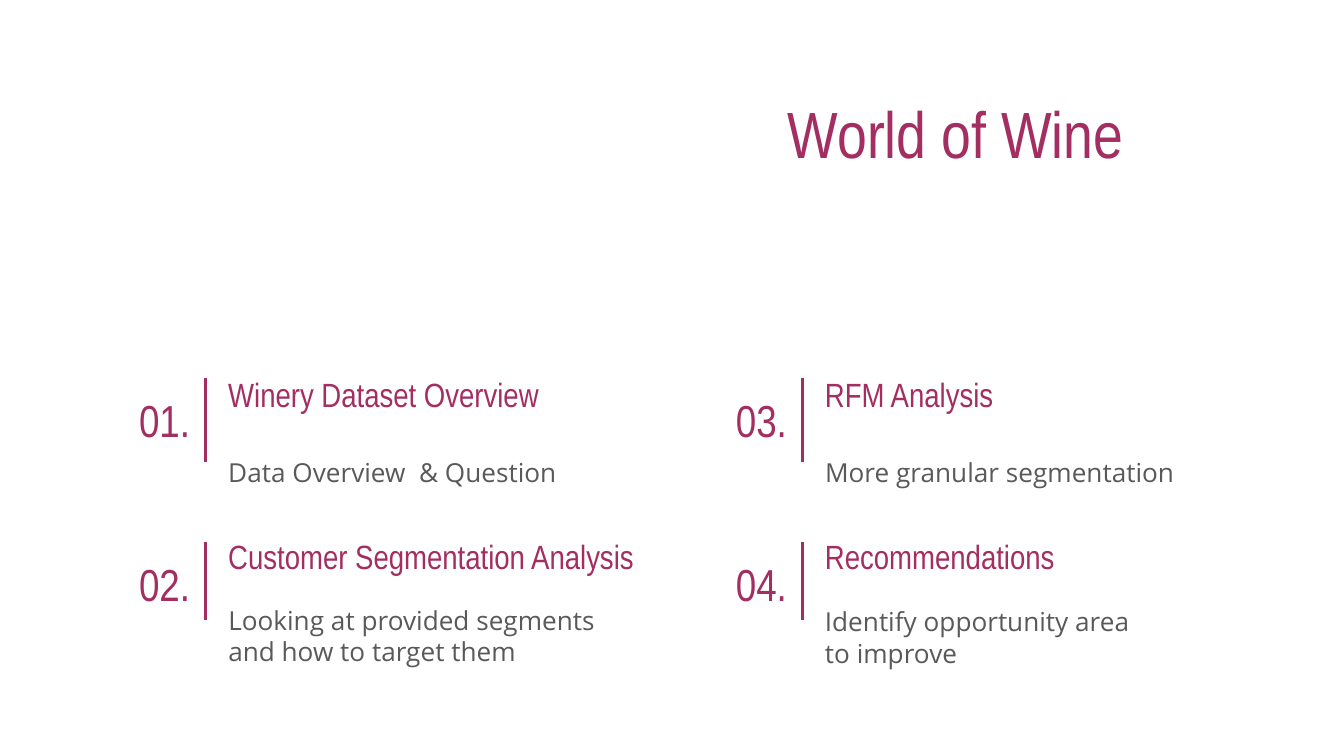
from lxml.etree import SubElement
from pptx import Presentation
from pptx.dml.color import RGBColor
from pptx.enum.shapes import MSO_CONNECTOR as Connector
from pptx.enum.text import MSO_ANCHOR as Anchor, PP_ALIGN as Align
from pptx.oxml.ns import qn
from pptx.util import Inches, Pt

TITLE = "World of Wine"
# number, heading, description, description width, description drop
SECTIONS = [
    ("01.", "Winery Dataset Overview", "Data Overview  & Question", 2.7, 0.54),
    ("02.", "Customer Segmentation Analysis",
     "Looking at provided segments and how to target them", 3.18, 0.55),
    ("03.", "RFM Analysis", "More granular segmentation", 2.91, 0.54),
    ("04.", "Recommendations", "Identify opportunity area to improve", 2.7, 0.56),
]

WINE, GREY = RGBColor.from_string("A32E61"), RGBColor.from_string("595959")
THEME = {
    "title": {"name": "Arial Narrow", "size": Pt(35), "color": WINE},
    "number": {"name": "Arial Narrow", "size": Pt(24), "color": WINE},
    "heading": {"name": "Arial Narrow", "size": Pt(18), "color": WINE},
    "description": {"name": "Open Sans", "size": Pt(14), "color": GREY},
    "rule": {"color": WINE, "width": Pt(1.5)},
}

SLIDE_WIDTH = 10
SLIDE_HEIGHT = SLIDE_WIDTH * 9 / 16
ROWS = 2
COLUMN_LEFT, COLUMN_STEP = 0.86, 4.44
HEADING_TOPS = (2.68, 3.89)
NUMBER_TOPS = (2.81, 4.03)
RULE_HEIGHTS = (0.63, 0.58)
RULE_OFFSET, TEXT_OFFSET = 0.67, 0.74


def add_text(slide, role, text, left, top, width, height,
             align=Align.LEFT, anchor=Anchor.TOP):
    shape = slide.shapes.add_textbox(*map(Inches, (left, top, width, height)))
    frame = shape.text_frame
    frame_format = {"word_wrap": True, "vertical_anchor": anchor}
    for side in ("left", "top", "right", "bottom"):
        frame_format[f"margin_{side}"] = Inches(0.1)
    for name, value in frame_format.items():
        setattr(frame, name, value)
    paragraph = frame.paragraphs[0]
    paragraph.text = text
    paragraph.alignment = align
    font = paragraph.runs[0].font
    for name, value in THEME[role].items():
        if name == "color":
            font.color.rgb = value
        else:
            setattr(font, name, value)


def add_rule(slide, left, top, height):
    rule = slide.shapes.add_connector(
        Connector.STRAIGHT, *map(Inches, (left, top, left, top + height)))
    rule.line.color.rgb = THEME["rule"]["color"]
    rule.line.width = THEME["rule"]["width"]
    SubElement(rule._element.spPr, qn("a:effectLst"))


def add_section(slide, index, number, heading, description, width, drop):
    column, row = divmod(index, ROWS)
    left = COLUMN_LEFT + column * COLUMN_STEP
    text_left = left + TEXT_OFFSET
    add_text(slide, "number", number, left, NUMBER_TOPS[row], 0.73, 0.63,
             Align.CENTER, Anchor.MIDDLE)
    add_rule(slide, left + RULE_OFFSET, NUMBER_TOPS[row], RULE_HEIGHTS[row])
    add_text(slide, "heading", heading, text_left, HEADING_TOPS[row], 3.27, 0.49)
    add_text(slide, "description", description, text_left,
             HEADING_TOPS[row] + drop, width, 0.58, anchor=Anchor.MIDDLE)


def main():
    presentation = Presentation()
    presentation.slide_width = Inches(SLIDE_WIDTH)
    presentation.slide_height = Inches(SLIDE_HEIGHT)
    slide = presentation.slides.add_slide(presentation.slide_layouts[6])
    add_text(slide, "title", TITLE, SLIDE_WIDTH / 2, 0.59, 4.22, 0.92, Align.CENTER)
    for index, section in enumerate(SECTIONS):
        add_section(slide, index, *section)
    presentation.save("out.pptx")


if __name__ == "__main__":
    main()
